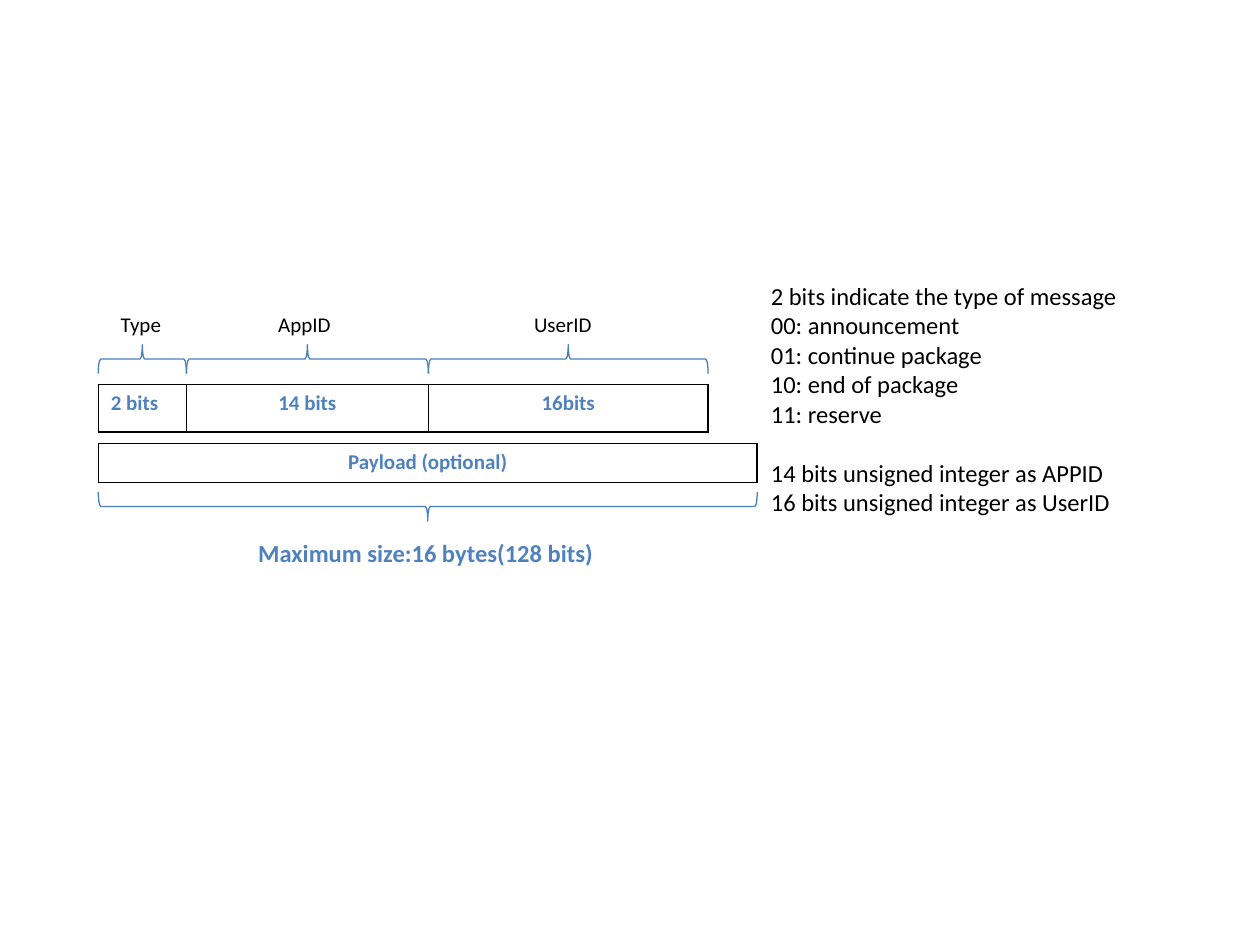
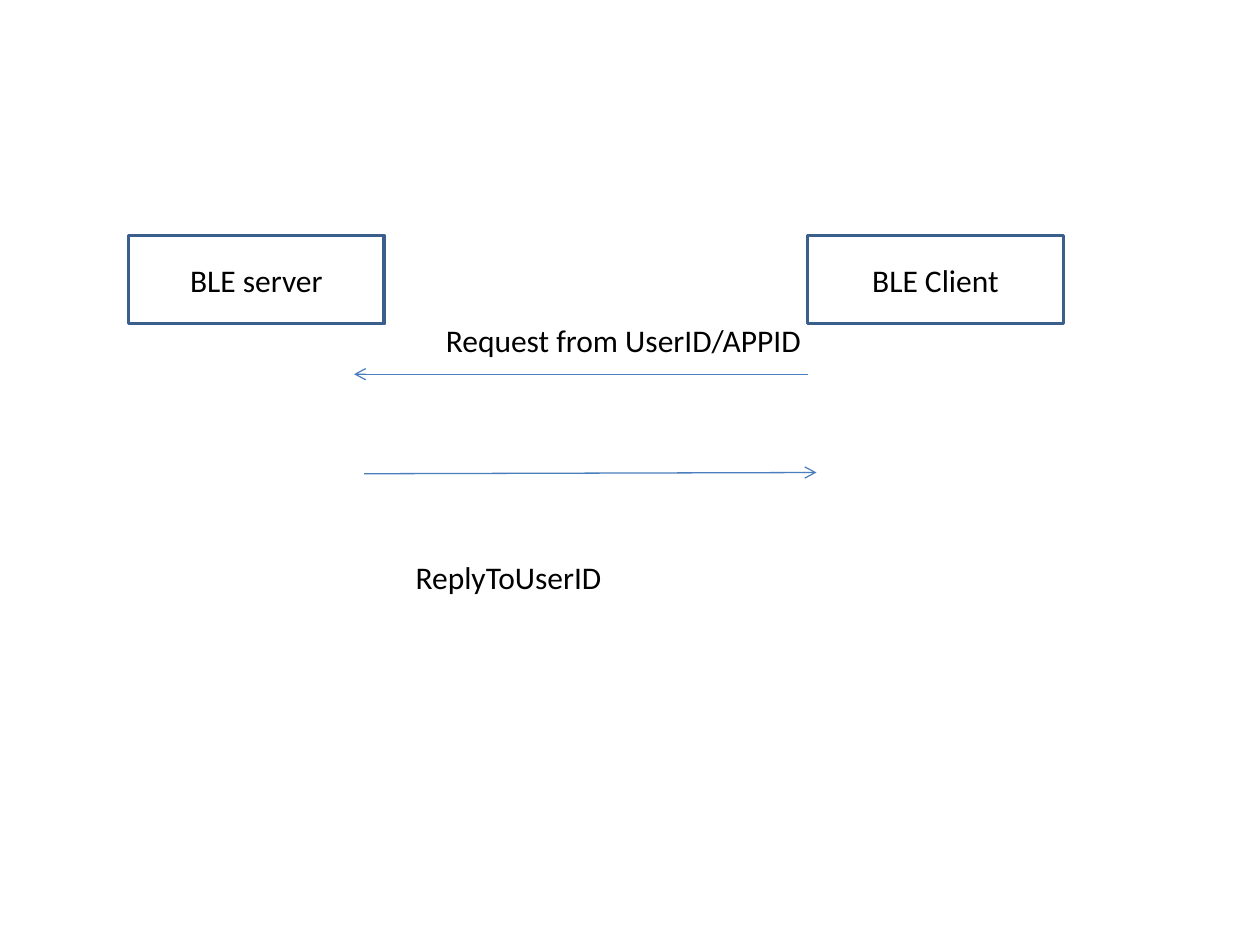
from lxml import etree
from pptx import Presentation
from pptx.dml.color import RGBColor
from pptx.enum.shapes import MSO_CONNECTOR, MSO_SHAPE
from pptx.enum.text import MSO_ANCHOR, PP_ALIGN
from pptx.oxml.ns import qn
from pptx.util import Inches, Pt

LEFT, CENTER = PP_ALIGN.LEFT, PP_ALIGN.CENTER
MIDDLE = MSO_ANCHOR.MIDDLE
RECT, BRACE = MSO_SHAPE.RECTANGLE, MSO_SHAPE.RIGHT_BRACE
STRAIGHT = MSO_CONNECTOR.STRAIGHT

# Shared look
FONT = "Calibri"
BLACK, WHITE, BLUE = "000000", "FFFFFF", "4F81BD"
LINE, EDGE = "4B7EBC", "3A5F8C"

# Slide 1: label, label left, label width, bits, column width, alignment
FIELDS = [
    ("Type", 0.86, 0.52, "2 bits", 0.7, LEFT),
    ("AppID", 2.11, 0.62, "14 bits", 1.92, CENTER),
    ("UserID", 4.14, 0.66, "16bits", 2.22, CENTER),
]
PAYLOAD = "Payload (optional)"
LIMIT = "Maximum size:16 bytes(128 bits)"
NOTES = [
    "2 bits indicate the type of message",
    "00: announcement",
    "01: continue package",
    "10: end of package",
    "11: reserve",
    "14 bits unsigned integer as APPID",
    "16 bits unsigned integer as UserID",
]
GAP_AT = 5  # note that starts the second group
START, SPAN = 0.78, 5.23
DEPTH = 0.23

# Slide 2
NODES = [("BLE server", 1.02), ("BLE Client", 6.41)]
ARROWS = [(6.41, 2.97, 2.81, 2.97), (2.89, 3.76, 6.48, 3.75)]
CALLS = [
    ("ReplyToUserID", 3.2, 4.38, 1.69),
    ("Request from UserID/APPID", 3.44, 2.5, 3.05),
]


def color(code):
    return RGBColor.from_string(code)


def inches(*sizes):
    return [Inches(size) for size in sizes]


def style(frame, size, code=BLACK, bold=False, align=LEFT):
    for para in frame.paragraphs:
        para.alignment = align
        for run in para.runs:
            run.font.name = FONT
            run.font.size = Pt(size)
            run.font.bold = bold
            run.font.color.rgb = color(code)


def stroke(shape, code, width):
    shape.line.color.rgb = color(code)
    shape.line.width = Pt(width)


def label(slide, text, box, size, code=BLACK, bold=False, wrap=False):
    frame = slide.shapes.add_textbox(*inches(*box)).text_frame
    frame.word_wrap = wrap
    frame.text = text
    style(frame, size, code, bold)
    return frame


def brace(slide, left, mid, width, turn):
    # The shape is upright before it turns about its centre
    x = left + (width - DEPTH) / 2
    shape = slide.shapes.add_shape(BRACE, *inches(x, mid - width / 2, DEPTH, width))
    shape.rotation = turn
    shape.shadow.inherit = False
    shape.fill.background()
    stroke(shape, LINE, 0.75)


def border(cell):
    props = cell._tc.get_or_add_tcPr()
    for spot, side in enumerate(("lnL", "lnR", "lnT", "lnB")):
        edge = etree.Element(qn("a:" + side), w=str(Pt(1)))
        fill = etree.SubElement(edge, qn("a:solidFill"))
        etree.SubElement(fill, qn("a:srgbClr"), val=BLACK)
        props.insert(spot, edge)


def bar(slide, top, height, cells, back=None):
    total = sum(width for _, width, _ in cells)
    box = inches(START, top, total, height)
    table = slide.shapes.add_table(1, len(cells), *box).table
    table.first_row = table.horz_banding = False
    table.rows[0].height = Inches(height)
    for col, (text, width, align) in enumerate(cells):
        table.columns[col].width = Inches(width)
        cell = table.cell(0, col)
        cell.text = text
        style(cell.text_frame, 12, BLUE, True, align)
        if back:
            cell.fill.solid()
            cell.fill.fore_color.rgb = color(back)
        else:
            cell.fill.background()
        border(cell)


def arrow(slide, ends):
    link = slide.shapes.add_connector(STRAIGHT, *inches(*ends))
    stroke(link, LINE, 0.75)
    props = link.element.spPr
    etree.SubElement(props.find(qn("a:ln")), qn("a:tailEnd"), type="arrow")
    etree.SubElement(props, qn("a:effectLst"))


def packet(slide):
    # Notes on the right
    frame = label(slide, "\n".join(NOTES), (6.02, 2.18, 3.44, 1.98), 14, wrap=True)
    frame.paragraphs[GAP_AT].space_before = Pt(17)

    # Header fields with braces and labels
    bar(slide, 3.05, 0.38, [field[3:] for field in FIELDS])
    left = START
    for name, x, wide, _, width, _ in FIELDS:
        brace(slide, left, 2.85, width, 270)
        label(slide, name, (x, 2.42, wide, 0.3), 12)
        left += width

    # Payload and its limit
    bar(slide, 3.52, 0.31, [(PAYLOAD, SPAN, CENTER)], WHITE)
    brace(slide, START, 4.02, SPAN, 90)
    label(slide, LIMIT, (1.95, 4.22, 2.88, 0.34), 14, BLUE, True)


def exchange(slide):
    # Two ends of the link
    for name, left in NODES:
        node = slide.shapes.add_shape(RECT, *inches(left, 1.87, 2.03, 0.7))
        node.shadow.inherit = False
        node.fill.solid()
        node.fill.fore_color.rgb = color(WHITE)
        stroke(node, EDGE, 2)
        node.text_frame.text = name
        node.text_frame.vertical_anchor = MIDDLE
        style(node.text_frame, 18, align=CENTER)

    # Messages
    for ends in ARROWS:
        arrow(slide, ends)
    for text, left, top, width in CALLS:
        label(slide, text, (left, top, width, 0.4), 18)


def main():
    deck = Presentation()
    deck.slide_width, deck.slide_height = inches(10, 7.5)
    for build in (packet, exchange):
        build(deck.slides.add_slide(deck.slide_layouts[6]))
    deck.save("out.pptx")


if __name__ == "__main__":
    main()
